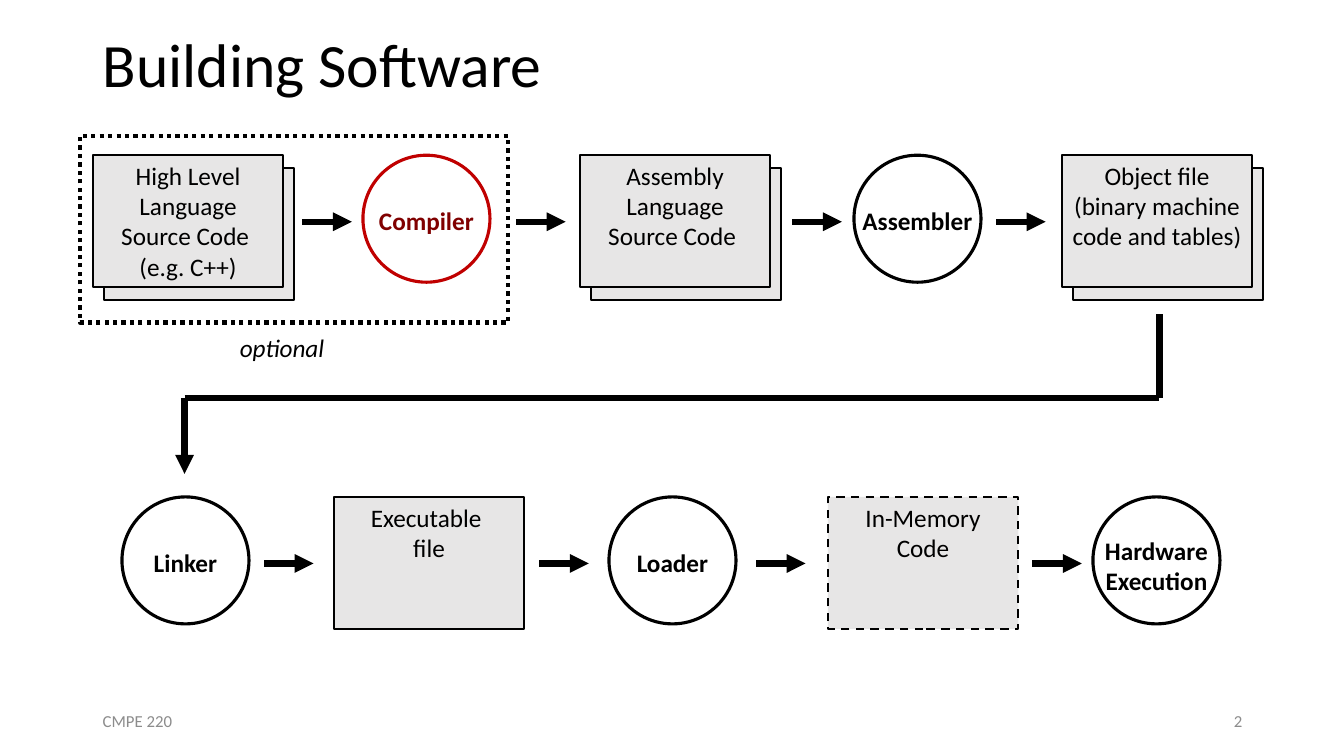
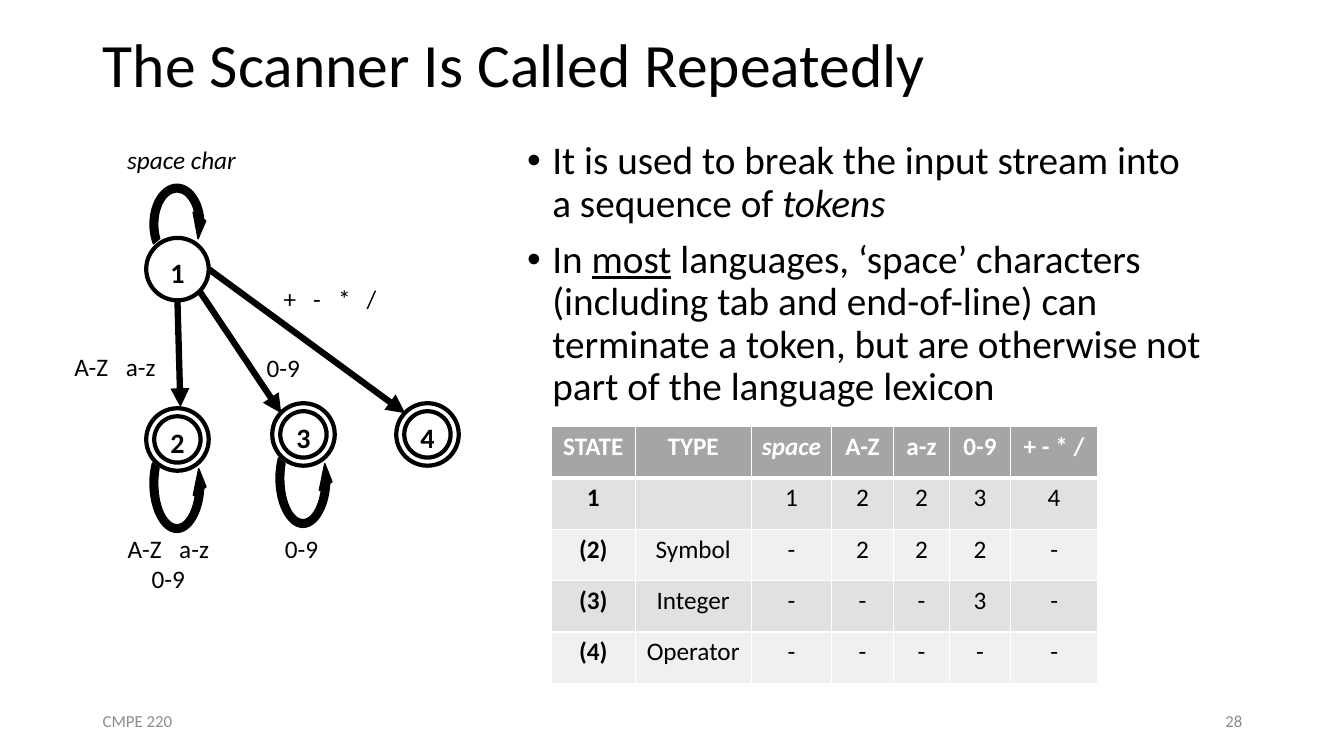
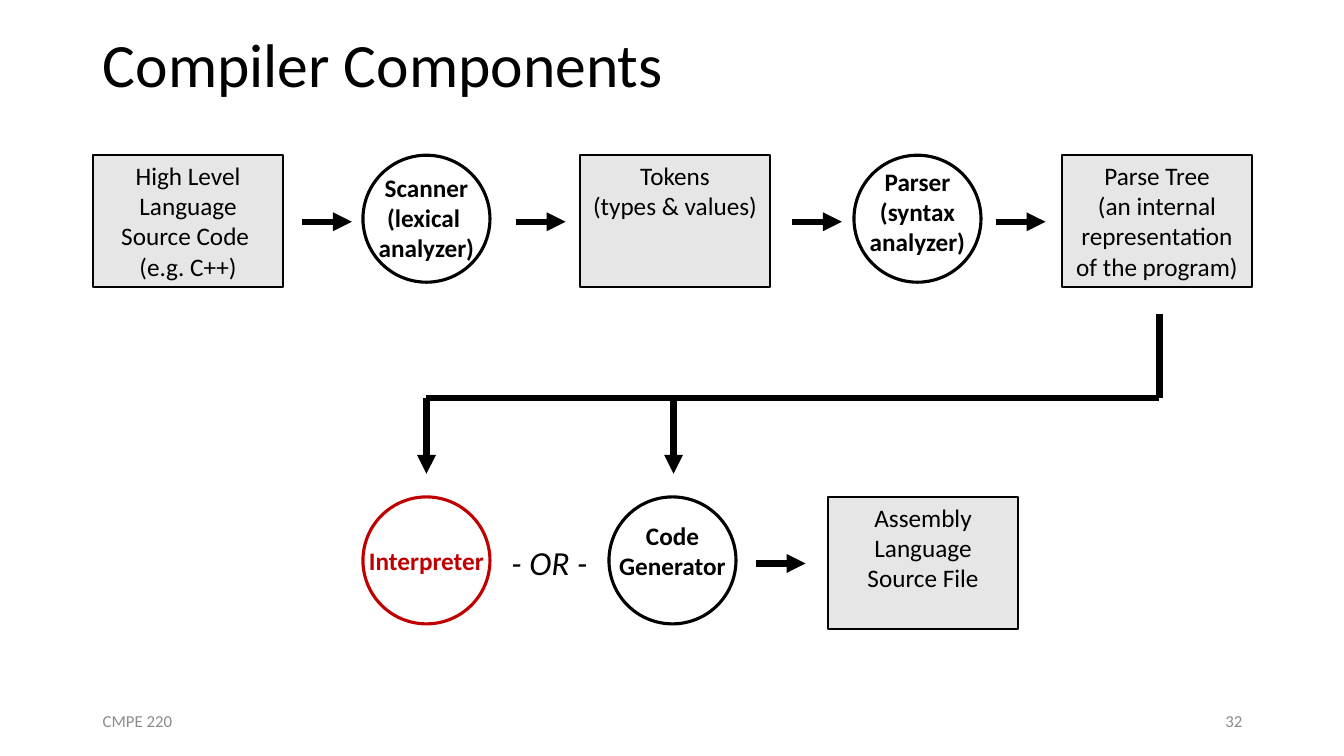
from dataclasses import dataclass

import pptx
import pptx.dml.color
import pptx.enum.dml
import pptx.enum.shapes
import pptx.enum.text
import pptx.oxml.ns
import pptx.util
from lxml import etree

Inches = pptx.util.Inches
Pt = pptx.util.Pt
SHAPE = pptx.enum.shapes.MSO_SHAPE
DASH = pptx.enum.dml.MSO_LINE
ALIGN = pptx.enum.text.PP_ALIGN
ANCHOR = pptx.enum.text.MSO_ANCHOR
qn = pptx.oxml.ns.qn


@dataclass(frozen=True)
class Theme:
    font: str = "Calibri"
    ink: str = "000000"
    paper: str = "FFFFFF"
    muted: str = "8C8C8C"
    accent: str = "C00000"
    accent_dark: str = "800000"
    file_fill: str = "E7E6E6"
    header_fill: str = "A5A5A5"
    odd_fill: str = "E1E1E1"
    even_fill: str = "F0F0F0"
    title_size: int = 44
    body_size: int = 28
    choice_size: int = 24
    state_size: int = 20
    label_size: int = 18
    footer_size: int = 12
    flow_weight: float = 4.5
    state_weight: float = 3
    header_rule: float = 3
    tool_weight: float = 2.25
    file_weight: float = 1.5


THEME = Theme()


@dataclass(frozen=True)
class Box:
    left: float
    top: float
    width: float
    height: float

    def inner(self, dx, dy, width, height):
        return Box(self.left + dx, self.top + dy, width, height)

    def inches(self):
        return [Inches(round(n, 2)) for n in (self.left, self.top, self.width, self.height)]


TITLE = Box(0.92, 0, 11.5, 1.35)
FOOTER = Box(0.92, 6.95, 3, 0.4)
PAGE = Box(9.42, 6.95, 3, 0.4)
TOP_LANE = Box(0.92, 1.54, 11.5, 1.31)
LOW_LANE = Box(0.92, 4.93, 11.5, 1.31)
FILE_SIZE = (1.89, 1.31)
TOOL_SIZE = (1.26, 1.26)
ARROW_LENGTH = 0.49
ARROW_DROP = 0.66
TOP_SLOTS = (0, 2.68, 4.83, 7.55, 9.61)
TOP_ARROWS = (2.08, 4.2, 6.94, 8.96)
LOW_SLOTS = (0.29, 2.39, 5.12, 7.29, 9.92)
LOW_ARROWS = (1.7, 4.43, 6.58, 9.32)
HIGH_LEVEL = "High Level Language Source Code \n(e.g. C++)"


def rgb(value):
    return pptx.dml.color.RGBColor.from_string(value)


def write(frame, text, size=THEME.label_size, color=THEME.ink, bold=False, italic=False,
          align=ALIGN.LEFT, anchor=ANCHOR.TOP, wrap=True, spacing=None, before=None,
          bullet=False, side_margin=0.1):
    frame.word_wrap = wrap
    frame.vertical_anchor = anchor
    frame.margin_left = frame.margin_right = Inches(side_margin)
    paragraphs = text.split("\n") if isinstance(text, str) else text
    for number, content in enumerate(paragraphs):
        paragraph = frame.add_paragraph() if number else frame.paragraphs[0]
        paragraph.alignment = align
        if spacing:
            paragraph.line_spacing = spacing
        if before:
            paragraph.space_before = Pt(before)
        if bullet:
            properties = paragraph._p.get_or_add_pPr()
            properties.set("marL", str(Inches(0.25)))
            properties.set("indent", str(Inches(-0.25)))
            etree.SubElement(properties, qn("a:buFont")).set("typeface", "Arial")
            etree.SubElement(properties, qn("a:buChar")).set("char", "•")
        runs = [(content, {})] if isinstance(content, str) else content
        for words, changes in runs:
            run = paragraph.add_run()
            run.text = words
            font = run.font
            font.name, font.size = THEME.font, Pt(size)
            font.color.rgb = rgb(color)
            font.bold = bold
            font.italic = changes.get("italic", italic)
            font.underline = changes.get("underline", False)


def add_label(slide, box, text, **style):
    frame = slide.shapes.add_textbox(*box.inches()).text_frame
    write(frame, text, **style)


def add_outline(slide, kind, box, weight, color=THEME.ink, fill=None, dash=None):
    shape = slide.shapes.add_shape(kind, *box.inches())
    shape.shadow.inherit = False
    if fill:
        shape.fill.solid()
        shape.fill.fore_color.rgb = rgb(fill)
    else:
        shape.fill.background()
    shape.line.color.rgb = rgb(color)
    shape.line.width = Pt(weight)
    if dash:
        shape.line.dash_style = dash
    return shape


def add_flow(slide, start, end, arrow=True):
    ends = [Inches(round(n, 2)) for n in (*start, *end)]
    flow = slide.shapes.add_connector(pptx.enum.shapes.MSO_CONNECTOR.STRAIGHT, *ends)
    flow.line.color.rgb = rgb(THEME.ink)
    flow.line.width = Pt(THEME.flow_weight)
    if arrow:
        etree.SubElement(flow.line._get_or_add_ln(), qn("a:tailEnd")).set("type", "triangle")
    etree.SubElement(flow._element.spPr, qn("a:effectLst"))


def add_titled_slide(deck, title, page):
    slide = deck.slides.add_slide(deck.slide_layouts[5])
    heading = slide.shapes.title
    heading.left, heading.top, heading.width, heading.height = TITLE.inches()
    heading.text_frame.auto_size = pptx.enum.text.MSO_AUTO_SIZE.NONE
    write(heading.text_frame, title, size=THEME.title_size, anchor=ANCHOR.MIDDLE, spacing=0.9)
    footer = dict(size=THEME.footer_size, color=THEME.muted, anchor=ANCHOR.MIDDLE)
    add_label(slide, FOOTER, "CMPE 220", **footer)
    add_label(slide, PAGE, str(page), align=ALIGN.RIGHT, **footer)
    return slide


def add_file(slide, lane, x, text, stacked=False, dash=None):
    box = lane.inner(x, 0, *FILE_SIZE)
    look = dict(weight=THEME.file_weight, fill=THEME.file_fill)
    if stacked:
        add_outline(slide, SHAPE.RECTANGLE, box.inner(0.11, 0.13, *FILE_SIZE), **look)
    front = add_outline(slide, SHAPE.RECTANGLE, box, dash=dash, **look)
    write(front.text_frame, text, align=ALIGN.CENTER)


def write_in_circle(circle, text, drop=0.0, **style):
    frame = circle.text_frame
    frame.margin_top = Inches(max(2 * drop, 0))
    frame.margin_bottom = Inches(max(-2 * drop, 0))
    write(frame, text, bold=True, align=ALIGN.CENTER, anchor=ANCHOR.MIDDLE, wrap=False,
          side_margin=0, **style)


def add_tool(slide, lane, x, text, ring=THEME.ink, color=THEME.ink, drop=0.02):
    circle = add_outline(slide, SHAPE.OVAL, lane.inner(x, 0, *TOOL_SIZE),
                         THEME.tool_weight, color=ring)
    write_in_circle(circle, text, drop, color=color)


def add_lane(slide, lane, steps, arrows):
    for add_step, x, text, options in steps:
        add_step(slide, lane, x, text, **options)
    y = lane.top + ARROW_DROP
    for x in arrows:
        add_flow(slide, (lane.left + x, y), (lane.left + x + ARROW_LENGTH, y))


def add_return_path(slide, box, targets):
    right, bottom = box.left + box.width, box.top + box.height
    turn = box.top + 0.83
    add_flow(slide, (right, box.top), (right, turn), arrow=False)
    add_flow(slide, (box.left, turn), (right, turn), arrow=False)
    for x in targets:
        add_flow(slide, (x, turn), (x, bottom))


def build_software_slide(deck):
    slide = add_titled_slide(deck, "Building Software", 2)
    stacked = dict(stacked=True)
    add_lane(slide, TOP_LANE, [
        (add_file, TOP_SLOTS[0], HIGH_LEVEL, stacked),
        (add_tool, TOP_SLOTS[1], "Compiler",
         dict(ring=THEME.accent, color=THEME.accent_dark)),
        (add_file, TOP_SLOTS[2], "Assembly Language Source Code ", stacked),
        (add_tool, TOP_SLOTS[3], "Assembler", {}),
        (add_file, TOP_SLOTS[4], "Object file\n(binary machine code and tables)", stacked),
    ], TOP_ARROWS)
    add_lane(slide, LOW_LANE, [
        (add_tool, LOW_SLOTS[0], "Linker", {}),
        (add_file, LOW_SLOTS[1], "Executable \nfile", {}),
        (add_tool, LOW_SLOTS[2], "Loader", {}),
        (add_file, LOW_SLOTS[3], "In-Memory\nCode", dict(dash=DASH.DASH)),
        (add_tool, LOW_SLOTS[4], "Hardware\nExecution", dict(drop=0.05)),
    ], LOW_ARROWS)
    add_return_path(slide, Box(1.83, 3.12, 9.67, 1.58), [1.83])
    add_outline(slide, SHAPE.RECTANGLE, Box(0.79, 1.35, 4.25, 1.85), 3, dash=DASH.ROUND_DOT)
    add_label(slide, Box(2.28, 3.25, 1.05, 0.4), "optional", italic=True, wrap=False)


def add_state(slide, box, number, final=False):
    ring = add_outline(slide, SHAPE.OVAL, box, THEME.state_weight)
    write_in_circle(ring, number, 0.03, size=THEME.state_size)
    if final:
        add_outline(slide, SHAPE.OVAL, box.inner(0.08, 0.08, 0.46, 0.46), THEME.state_weight)


def add_loop(slide, box, below=False):
    place = box.inner(0, 0.22, 0.61, 1.05) if below else box.inner(0, -0.57, 0.61, 0.87)
    loop = add_outline(slide, SHAPE.CIRCULAR_ARROW, place, 1, fill=THEME.ink)
    for index, value in enumerate((0.125, 32.107, 204.577, 84.063, 0.125)):
        loop.adjustments[index] = value
    if below:
        loop._element.spPr.find(qn("a:xfrm")).set("flipV", "1")


def add_inputs(slide, box, symbols, italic=False):
    pitch = box.width / len(symbols)
    for index, symbol in enumerate(symbols):
        add_label(slide, box.inner(index * pitch, 0, pitch, box.height), symbol,
                  italic=italic, align=ALIGN.CENTER, anchor=ANCHOR.MIDDLE, side_margin=0)


def add_state_diagram(slide, box):
    places = [(0.89, 0.98), (0.89, 2.67), (2.14, 2.62), (3.37, 2.62)]
    states = [box.inner(x, y, 0.62, 0.62) for x, y in places]
    for index, state in enumerate(states):
        add_state(slide, state, str(index + 1), final=index > 0)
    transitions = [((1.2, 1.6), (1.23, 2.66)), ((1.42, 1.51), (2.23, 2.72)),
                   ((1.51, 1.29), (3.46, 2.72))]
    for ends in transitions:
        add_flow(slide, *[(box.left + x, box.top + y) for x, y in ends])
    for state in states[:3]:
        add_loop(slide, state, below=state is not states[0])
    add_inputs(slide, box.inner(0.18, 0, 2.12, 0.4), ["space char"], italic=True)
    inputs = [(0.1, 2.06, 0.98, ["A-Z", "a-z"]), (1.98, 2.07, 0.54, ["0-9"]),
              (2.18, 1.38, 1.08, ["+", "-", "*", "/"]), (0.63, 3.86, 0.98, ["A-Z", "a-z"]),
              (0.84, 4.16, 0.54, ["0-9"]), (2.16, 3.86, 0.54, ["0-9"])]
    for x, y, width, symbols in inputs:
        add_inputs(slide, box.inner(x, y, width, 0.4), symbols)


def add_header_rule(cell):
    rule = etree.Element(qn("a:lnB"), w=str(Pt(THEME.header_rule)))
    fill = etree.SubElement(rule, qn("a:solidFill"))
    etree.SubElement(fill, qn("a:srgbClr")).set("val", THEME.paper)
    cell._tc.get_or_add_tcPr().insert(0, rule)


def add_transition_table(slide, box):
    widths = [0.83, 1.15, 0.8, 0.61, 0.56, 0.6, 0.87]
    rows = [["STATE", "TYPE", "space", "A-Z", "a-z", "0-9", "+ - * /"],
            ["1", "", "1", "2", "2", "3", "4"],
            ["(2)", "Symbol", "-", "2", "2", "2", "-"],
            ["(3)", "Integer", "-", "-", "-", "3", "-"],
            ["(4)", "Operator", "-", "-", "-", "-", "-"]]
    table = slide.shapes.add_table(len(rows), len(widths), *box.inches()).table
    for column, width in zip(table.columns, widths):
        column.width = Inches(width)
    for r, row in enumerate(rows):
        table.rows[r].height = Inches(box.height / len(rows))
        band = THEME.odd_fill if r % 2 else THEME.even_fill
        for c, text in enumerate(row):
            cell = table.cell(r, c)
            cell.fill.solid()
            cell.fill.fore_color.rgb = rgb(band if r else THEME.header_fill)
            if r == 0:
                add_header_rule(cell)
            if text:
                write(cell.text_frame, text, color=THEME.ink if r else THEME.paper,
                      bold=r == 0 or c == 0, italic=text == "space", align=ALIGN.CENTER)


def build_scanner_slide(deck):
    slide = add_titled_slide(deck, "The Scanner Is Called Repeatedly", 28)
    add_label(slide, Box(5.13, 1.35, 6.91, 2.88), [
        [("It is used to break the input stream into a sequence of ", {}),
         ("tokens", dict(italic=True))],
        [("In ", {}), ("most", dict(underline=True)),
         (" languages, ‘space’ characters (including tab and end-of-line) can terminate "
          "a token, but are otherwise not part of the language lexicon", {})],
    ], size=THEME.body_size, spacing=0.9, before=10, bullet=True)
    add_state_diagram(slide, Box(0.56, 1.38, 3.99, 4.57))
    add_transition_table(slide, Box(5.47, 4.23, 5.42, 2.55))


def build_compiler_slide(deck):
    slide = add_titled_slide(deck, "Compiler Components", 32)
    add_lane(slide, TOP_LANE, [
        (add_file, TOP_SLOTS[0], HIGH_LEVEL, {}),
        (add_tool, TOP_SLOTS[1], "Scanner\n(lexical \nanalyzer)", dict(drop=-0.01)),
        (add_file, TOP_SLOTS[2], "Tokens\n(types & values)", {}),
        (add_tool, TOP_SLOTS[3], "Parser\n(syntax\nanalyzer)", dict(drop=-0.07)),
        (add_file, TOP_SLOTS[4], "Parse Tree\n(an internal representation of the program)", {}),
    ], TOP_ARROWS)
    add_lane(slide, LOW_LANE, [
        (add_tool, TOP_SLOTS[1], "Interpreter",
         dict(ring=THEME.accent, color=THEME.accent, drop=0)),
        (add_tool, LOW_SLOTS[2], "Code\nGenerator", dict(drop=-0.1)),
        (add_file, LOW_SLOTS[3], "Assembly Language Source File", {}),
    ], LOW_ARROWS[2:3])
    add_return_path(slide, Box(4.23, 3.12, 7.27, 1.58), [4.23, 6.68])
    add_label(slide, Box(4.95, 5.33, 1, 0.5), "- OR -", size=THEME.choice_size, italic=True,
              align=ALIGN.CENTER, wrap=False)


def main():
    deck = pptx.Presentation()
    deck.slide_width, deck.slide_height = Inches(13.33), Inches(7.5)
    build_software_slide(deck)
    build_scanner_slide(deck)
    build_compiler_slide(deck)
    deck.save("out.pptx")


if __name__ == "__main__":
    main()
